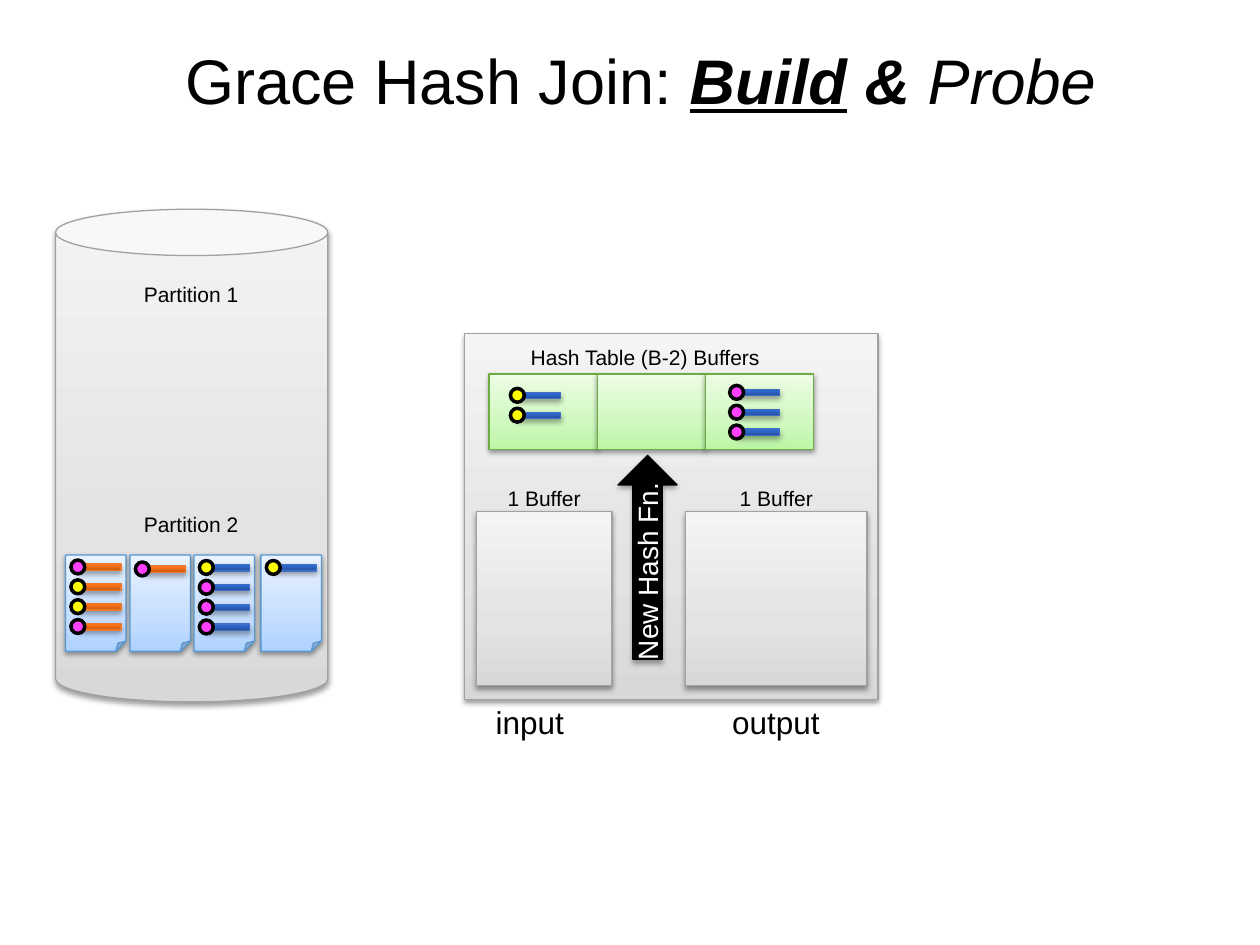
from lxml import etree
from pptx import Presentation
from pptx.dml.color import RGBColor
from pptx.enum.shapes import MSO_SHAPE
from pptx.enum.text import MSO_ANCHOR, PP_ALIGN
from pptx.oxml.ns import qn
from pptx.util import Cm, Pt

RECT, OVAL, CAN = MSO_SHAPE.RECTANGLE, MSO_SHAPE.OVAL, MSO_SHAPE.CAN
PAGE, ARROW = MSO_SHAPE.FOLDED_CORNER, MSO_SHAPE.RIGHT_ARROW
LEFT, CENTER = PP_ALIGN.LEFT, PP_ALIGN.CENTER
TOP, MIDDLE = MSO_ANCHOR.TOP, MSO_ANCHOR.MIDDLE

FONT = "Arial"
BLACK, WHITE, PINK, YELLOW = "000000", "FFFFFF", "FF40FF", "FFFF00"
GRAY = ([(0, "D8D8D8"), (35, "E3E3E3"), (100, "F4F4F4")], "A1A1A1")
GREEN = ([(0, "BCF6A4"), (35, "D0F8BF"), (100, "ECFDE5")], "6DAC43")
PAPER = ([(0, "AFD2FF"), (35, "C6DEFF"), (100, "E9F2FF")], "5698D3")
ORANGE = ([(0, "C3580F"), (80, "FF7416"), (100, "FF7517")], "EC792B")
BLUE = ([(0, "24509E"), (80, "2F69D0"), (100, "2C69D4")], "3F6EC3")
SOFT, STRONG = (38, 1.6), (35, 1.8)
ROW_STEP = 0.4


def color(value):
    """Turn a hex string into a colour."""
    return RGBColor.from_string(value)


def add_shadow(shape, alpha, distance):
    """Give a shape a soft shadow that falls straight down."""
    effects = shape._element.spPr.find(qn("a:effectLst"))
    outer = etree.SubElement(effects, qn("a:outerShdw"), blurRad=str(Pt(3)),
                             dist=str(Pt(distance)), dir="5400000", rotWithShape="0")
    tint = etree.SubElement(outer, qn("a:srgbClr"), val=BLACK)
    etree.SubElement(tint, qn("a:alpha"), val=str(alpha * 1000))


def set_gradient(shape, stops):
    """Fill a shape with colour stops that run from bottom to top."""
    shape.fill.gradient()
    shape.fill.gradient_angle = 90
    stop_list = shape._element.spPr.find(qn("a:gradFill")).find(qn("a:gsLst"))
    for old in list(stop_list):
        stop_list.remove(old)
    for position, value in stops:
        stop = etree.SubElement(stop_list, qn("a:gs"), pos=str(position * 1000))
        etree.SubElement(stop, qn("a:srgbClr"), val=value)


def add_figure(slide, kind, place, fill, line, width=0.75, shadow=None):
    """Add a preset shape with a plain or gradient fill."""
    shape = slide.shapes.add_shape(kind, *map(Cm, place))
    shape.shadow.inherit = False
    if isinstance(fill, str):
        shape.fill.solid()
        shape.fill.fore_color.rgb = color(fill)
    else:
        set_gradient(shape, fill)
    shape.line.color.rgb = color(line)
    shape.line.width = Pt(width)
    if shadow:
        add_shadow(shape, *shadow)
    return shape


def style_span(span, size, value):
    """Set the font, size and colour of a run."""
    span.font.name = FONT
    span.font.size = Pt(size)
    span.font.color.rgb = color(value)


def add_label(slide, place, text, size=12, value=BLACK, align=LEFT, wrap=False, anchor=TOP):
    """Add a one-line text box."""
    box = slide.shapes.add_textbox(*map(Cm, place))
    frame = box.text_frame
    frame.margin_left = frame.margin_right = Cm(0.13)
    frame.margin_top = frame.margin_bottom = Cm(0.13)
    frame.word_wrap = wrap
    frame.vertical_anchor = anchor
    frame.text = text
    para = frame.paragraphs[0]
    para.alignment = align
    style_span(para.runs[0], size, value)
    return box


def add_title(slide):
    """Add the title with its emphasised words."""
    box = add_label(slide, (3.61, 0, 19.89, 3.18), "Grace Hash Join: ", 36,
                    wrap=True, anchor=MIDDLE)
    para = box.text_frame.paragraphs[0]
    for text, bold, underline in (("Build", True, True), (" & ", True, False),
                                  ("Probe", False, False)):
        span = para.add_run()
        span.text = text
        style_span(span, 36, BLACK)
        span.font.bold = bold
        span.font.italic = True
        span.font.underline = underline


def add_records(slide, left, top, keys, theme):
    """Stack records, each a bar with a coloured key dot."""
    for row, key in enumerate(keys):
        y = top + row * ROW_STEP
        add_figure(slide, RECT, (left + 0.16, y + 0.08, 0.85, 0.13), *theme, shadow=STRONG)
        add_figure(slide, OVAL, (left, y, 0.28, 0.28), key, BLACK, 2)


def add_page(slide, left, inset, keys, theme):
    """Add a disk page that holds records."""
    top = 11.19
    add_figure(slide, PAGE, (left, top, 1.22, 1.94), *PAPER, shadow=SOFT)
    add_records(slide, left + 0.11, top + inset, keys, theme)


def add_buffer(slide, left, width):
    """Add a captioned memory buffer."""
    add_figure(slide, RECT, (left, 10.31, width, 3.51), *GRAY, shadow=SOFT)
    add_label(slide, (left, 9.65, width, 0.74), "1 Buffer", align=CENTER, wrap=True)


def add_disk(slide):
    """Add the disk with its partitions and pages."""
    disk = add_figure(slide, CAN, (1.12, 4.22, 5.49, 9.93), *GRAY, shadow=SOFT)
    disk.adjustments[0] = 0.17
    add_label(slide, (2.77, 5.54, 2.21, 0.74), "Partition 1")
    add_label(slide, (2.77, 10.19, 2.21, 0.74), "Partition 2")
    add_page(slide, 1.32, 0.1, (PINK, YELLOW, YELLOW, PINK), ORANGE)
    add_page(slide, 2.62, 0.14, (PINK,), ORANGE)
    add_page(slide, 3.91, 0.11, (YELLOW, PINK, PINK, PINK), BLUE)
    add_page(slide, 5.26, 0.11, (YELLOW,), BLUE)


def add_memory(slide):
    """Add the memory with the hash table, buffers and arrow."""
    add_figure(slide, RECT, (9.37, 6.73, 8.33, 7.37), *GRAY, shadow=SOFT)
    for column in range(3):
        add_figure(slide, RECT, (9.86 + 2.18 * column, 7.54, 2.18, 1.52), *GREEN, shadow=SOFT)
    add_label(slide, (10.57, 6.81, 4.88, 0.74), "Hash Table (B-2) Buffers")
    add_buffer(slide, 9.6, 2.74)
    add_buffer(slide, 13.82, 3.66)
    arrow = add_figure(slide, ARROW, (11, 10.64, 4.11, 1.19), BLACK, BLACK, shadow=STRONG)
    arrow.rotation = 270
    caption = add_label(slide, (10.87, 10.87, 4.27, 0.86), "New Hash Fn.", 16, WHITE, wrap=True)
    caption.rotation = 270
    add_records(slide, 10.29, 7.83, (YELLOW, YELLOW), BLUE)
    add_records(slide, 14.71, 7.77, (PINK, PINK, PINK), BLUE)
    add_label(slide, (9.86, 14.05, 1.7, 1.02), "input", 18)
    add_label(slide, (14.63, 14.05, 2.13, 1.02), "output", 18)


def main():
    """Build the slide and save the deck."""
    deck = Presentation()
    deck.slide_width, deck.slide_height = Cm(25.4), Cm(19.05)
    slide = deck.slides.add_slide(deck.slide_layouts[6])
    add_title(slide)
    add_disk(slide)
    add_memory(slide)
    deck.save("out.pptx")


if __name__ == "__main__":
    main()
